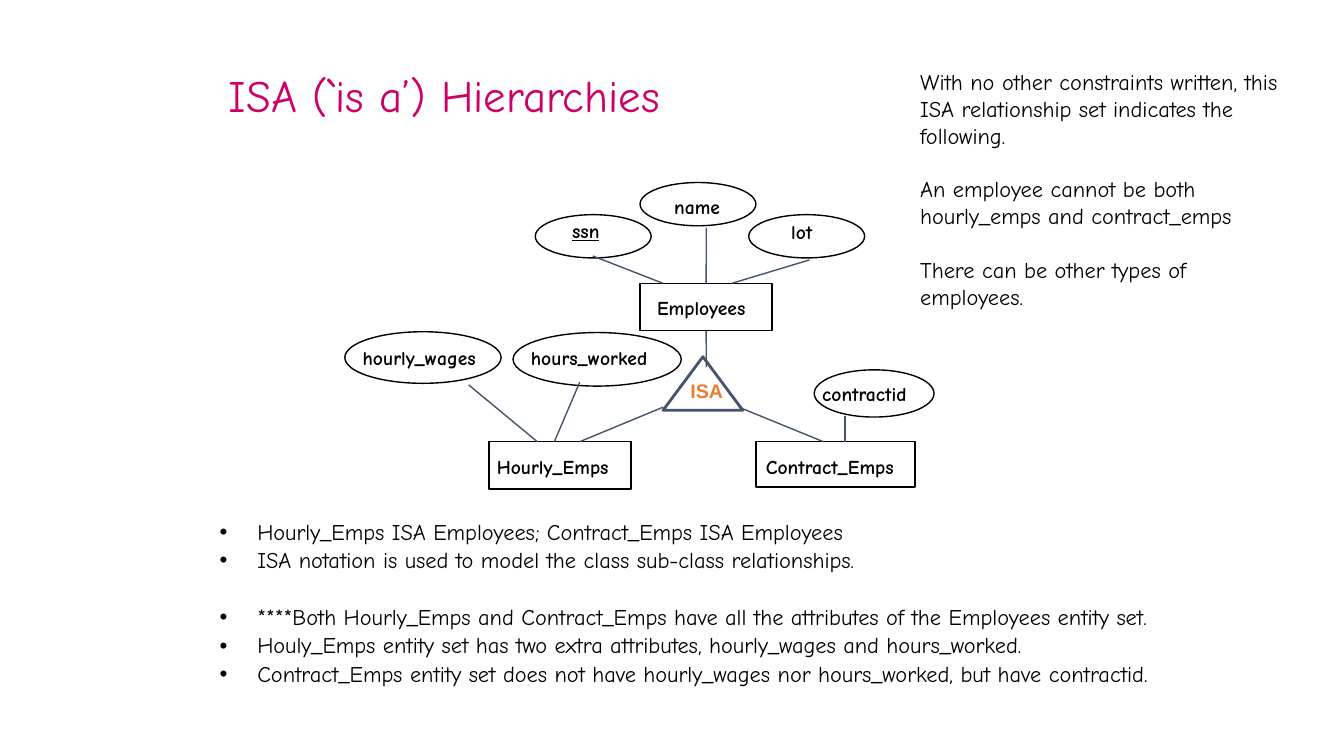
from lxml import etree
from pptx import Presentation
from pptx.dml.color import RGBColor
from pptx.enum.shapes import MSO_CONNECTOR, MSO_SHAPE
from pptx.enum.text import MSO_ANCHOR, MSO_AUTO_SIZE, PP_ALIGN
from pptx.oxml.ns import qn
from pptx.util import Cm, Pt

OVAL = MSO_SHAPE.OVAL
RECT = MSO_SHAPE.RECTANGLE
TRIANGLE = MSO_SHAPE.ISOSCELES_TRIANGLE
STRAIGHT = MSO_CONNECTOR.STRAIGHT
LEFT = PP_ALIGN.LEFT
TOP = MSO_ANCHOR.TOP
MIDDLE = MSO_ANCHOR.MIDDLE
FIXED = MSO_AUTO_SIZE.NONE
GROW = MSO_AUTO_SIZE.SHAPE_TO_FIT_TEXT

BLACK, SLATE, PINK, ORANGE = "000000", "44546A", "CC0066", "ED7D31"
FONT = "Comic Neue"

TITLE = "ISA (`is a’) Hierarchies"
NOTES = [
    "With no other constraints written, this ISA relationship set indicates the following.",
    "An employee cannot be both hourly_emps and contract_emps",
    "There can be other types of employees.",
]
POINTS = [
    "Hourly_Emps ISA Employees; Contract_Emps ISA Employees",
    "ISA notation is used to model the class sub-class relationships.",
    "****Both Hourly_Emps and Contract_Emps have all the attributes of the Employees entity set.",
    "Houly_Emps entity set has two extra attributes, hourly_wages and hours_worked.",
    "Contract_Emps entity set does not have hourly_wages nor hours_worked, but have contractid.",
]
NODES = [
    (OVAL, (13.49, 5.41, 2.92, 1.09), "ssn", (14.17, 5.38, 1.27)),
    (OVAL, (18.87, 5.41, 2.92, 1.09), "lot", (19.69, 5.41, 1.14)),
    (OVAL, (16.13, 4.6, 2.92, 1.09), "name", (16.74, 4.78, 1.7)),
    (OVAL, (8.69, 8.36, 3.94, 1.3), "hourly_wages", (8.89, 8.59, 3.68)),
    (OVAL, (12.93, 8.38, 4.24, 1.35), "hours_worked", (13.13, 8.59, 3.81)),
    (OVAL, (20.52, 9.32, 3.02, 1.19), "contractid", (20.47, 9.5, 2.97)),
    (RECT, (16.13, 7.14, 3.33, 1.19), "Employees", (16.31, 7.32, 2.95)),
    (RECT, (12.32, 11.13, 3.58, 1.19), "Hourly_Emps", (12.27, 11.35, 3.58)),
    (RECT, (19.05, 11.13, 4.01, 1.14), "Contract_Emps", (19.05, 11.33, 4.11)),
]
LINKS = [
    (14.94, 6.45, 16.71, 7.14),
    (20.4, 6.55, 18.44, 7.14),
    (11.81, 9.7, 13.54, 11.13),
    (14.61, 9.63, 13.97, 11.13),
    (16.71, 10.26, 14.61, 11.13),
    (18.62, 10.26, 20.75, 11.13),
    (21.29, 10.49, 21.29, 11.13),
]


def paint(color, code):
    color.rgb = RGBColor.from_string(code)


class Board:
    def __init__(self, slide):
        self.slide = slide
        self.shapes = slide.shapes

    def style(self, frame, size, code=BLACK, font=FONT, bold=False):
        for para in frame.paragraphs:
            para.alignment = LEFT
            for run in para.runs:
                run.font.name = font
                run.font.size = Pt(size)
                run.font.bold = bold
                paint(run.font.color, code)

    def place(self, shape, left, top, width, height):
        shape.left, shape.top = Cm(left), Cm(top)
        shape.width, shape.height = Cm(width), Cm(height)

    def title(self, text, box):
        shape = self.shapes.title
        self.place(shape, *box)
        frame = shape.text_frame
        frame.text = text
        frame.auto_size = FIXED
        frame.vertical_anchor = MIDDLE
        self.style(frame, 32, PINK)

    def points(self, lines, box):
        shape = self.slide.placeholders[1]
        self.place(shape, *box)
        frame = shape.text_frame
        frame.text = "\n".join(lines)
        frame.auto_size = FIXED
        frame.vertical_anchor = TOP
        self.style(frame, 16)
        for para in frame.paragraphs:
            para.line_spacing = 0.9
            para.space_before = Pt(3)
            props = para._p.get_or_add_pPr()
            props.set("marL", str(Cm(0.95)))
            props.set("indent", str(Cm(-0.95)))
        frame.paragraphs[2].space_before = Pt(23.4)

    def note(self, lines, box):
        frame = self.shapes.add_textbox(*map(Cm, box)).text_frame
        frame.word_wrap = True
        frame.text = "\n".join(lines)
        self.style(frame, 16)
        for para in frame.paragraphs[1:]:
            para.space_before = Pt(19)

    def label(self, text, spot, code=BLACK, font=FONT):
        left, top, width = map(Cm, spot)
        frame = self.shapes.add_textbox(left, top, width, Cm(0.84)).text_frame
        frame.word_wrap = False
        frame.auto_size = GROW
        frame.text = text
        self.style(frame, 14, code, font, True)
        return frame

    def node(self, kind, box, code=BLACK, weight=1):
        shape = self.shapes.add_shape(kind, *map(Cm, box))
        shape.shadow.inherit = False
        shape.fill.background()
        paint(shape.line.color, code)
        shape.line.width = Pt(weight)
        return shape

    def link(self, ends):
        line = self.shapes.add_connector(STRAIGHT, *map(Cm, ends))
        paint(line.line.color, SLATE)
        line.line.width = Pt(1)
        etree.SubElement(line._element.spPr, qn("a:effectLst"))
        return line


def main():
    deck = Presentation()
    deck.slide_width, deck.slide_height = Cm(33.87), Cm(19.05)
    board = Board(deck.slides.add_slide(deck.slide_layouts[1]))

    board.title(TITLE, (5.51, 0.84, 13.54, 3.07))
    board.points(POINTS, (5.28, 13, 24.66, 5.5))
    board.note(NOTES, (22.94, 1.6, 9.6, 6.4))

    shapes, labels = {}, {}
    for kind, box, text, spot in NODES:
        shapes[text] = board.node(kind, box)
        labels[text] = board.label(text, spot)
    labels["ssn"].paragraphs[0].runs[0].font.underline = True

    board.node(TRIANGLE, (16.71, 8.99, 2.01, 1.35), SLATE, 2)
    board.label("ISA", (17.15, 9.42, 1.35), ORANGE, "Arial")

    for ends in LINKS:
        board.link(ends)
    staff = shapes["Employees"]
    board.link((17.8, 5.74, 17.8, 7.14)).end_connect(staff, 0)
    board.link((17.8, 9.25, 17.8, 8.33)).end_connect(staff, 2)

    deck.save("out.pptx")


if __name__ == "__main__":
    main()
